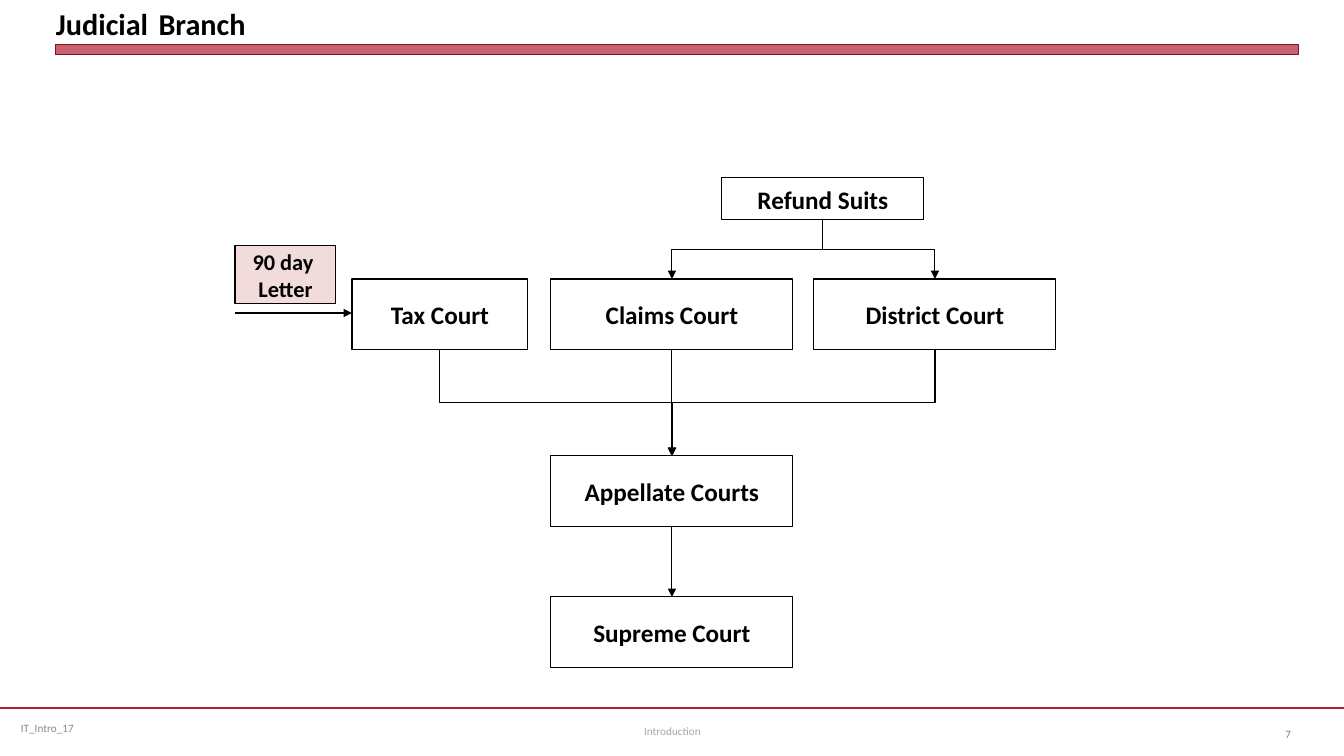
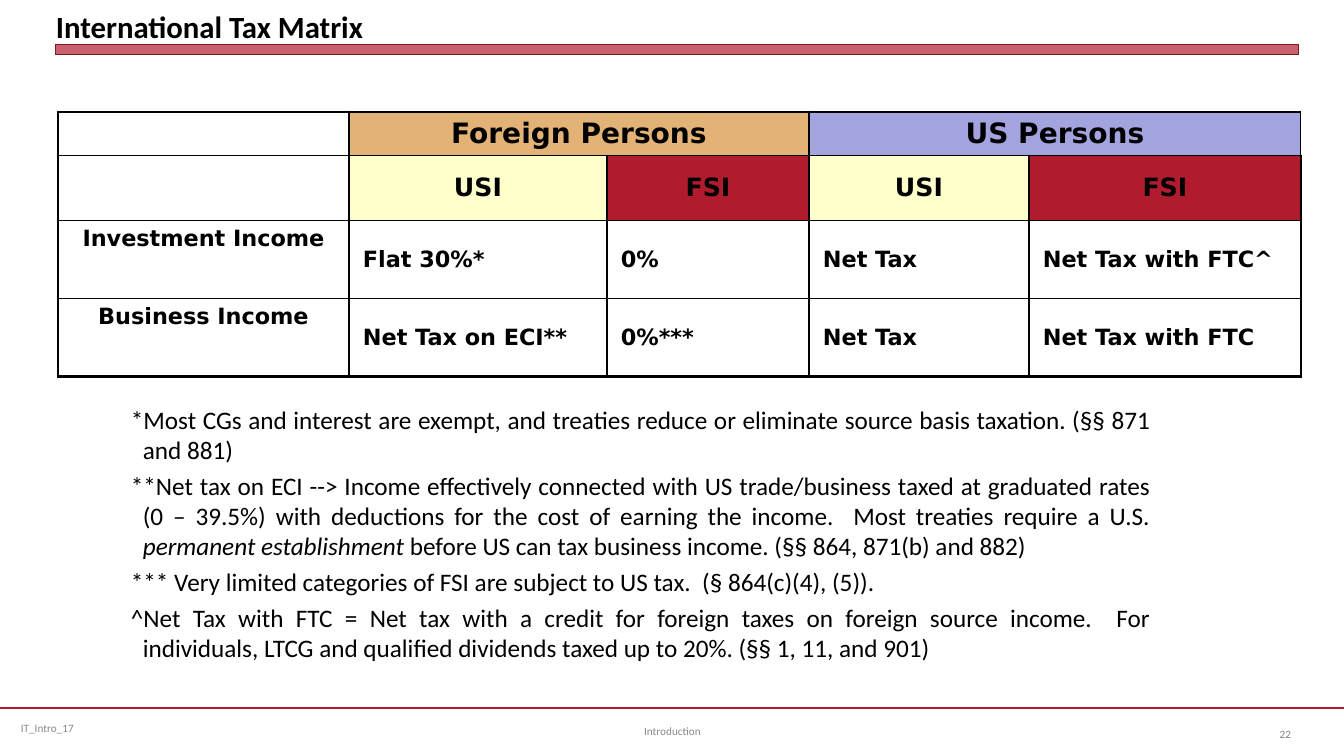
"""Build two tax course slides: the court hierarchy and the international tax matrix."""
from lxml.etree import SubElement
from pptx import Presentation
from pptx.dml.color import RGBColor
from pptx.enum.shapes import MSO_CONNECTOR as Link, MSO_SHAPE as Shape
from pptx.enum.text import MSO_ANCHOR as Anchor, PP_ALIGN as Align
from pptx.oxml.ns import qn
from pptx.util import Emu, Pt

EMU_PER_PX = 914400 / 100.8
BLACK = RGBColor(0x00, 0x00, 0x00)
CRIMSON = RGBColor(0xB0, 0x1C, 0x2E)
DARK_CRIMSON = RGBColor(0x82, 0x15, 0x22)
PINK = RGBColor(0xF2, 0xDC, 0xDB)
ORANGE = RGBColor(0xE3, 0xB2, 0x76)
LAVENDER = RGBColor(0xA3, 0xA3, 0xE0)
CREAM = RGBColor(0xFF, 0xFF, 0xCC)
GREY = RGBColor(0x89, 0x89, 0x89)
LIGHT_GREY = RGBColor(0xA6, 0xA6, 0xA6)
NUMBER_GREY = RGBColor(0x80, 0x80, 0x80)

TITLE = {"name": "Calibri", "size": Pt(22), "bold": True}
FOOTER = {"name": "Calibri", "size": Pt(8)}
COURT = {"name": "Calibri", "size": Pt(18), "bold": True}
NOTE = {"name": "Calibri", "size": Pt(18)}
CELL = {"name": "DejaVu Sans", "size": Pt(16), "bold": True}
MIDDLE = {"word_wrap": True, "vertical_anchor": Anchor.MIDDLE}
NO_MARGINS = {f"margin_{side}": 0 for side in ("left", "top", "right", "bottom")}


def px(*lengths):
    return [Emu(round(length * EMU_PER_PX)) for length in lengths]


def write(frame, paragraphs, font, align=Align.LEFT, color=BLACK, frame_format={}):
    for name, value in frame_format.items():
        setattr(frame, name, value)
    for index, spans in enumerate(paragraphs):
        para = frame.add_paragraph() if index else frame.paragraphs[0]
        para.alignment = align
        for text, changes in spans:
            span = para.add_run()
            span.text = text
            span.font.color.rgb = color
            for name, value in {**font, **changes}.items():
                setattr(span.font, name, value)


deck = Presentation()
deck.slide_width, deck.slide_height = px(1344, 756)
small_title = {"size": Pt(21.6)}
page_specs = [
    ([("Judicial", small_title), (" ", {"size": Pt(32.4)}), ("Branch", small_title)], LIGHT_GREY, "7"),
    ([("International Tax Matrix", {})], GREY, "22"),
]
pages = []
lines = []
for title, footer_color, number in page_specs:
    page = deck.slides.add_slide(deck.slide_layouts[6])
    pages.append(page)
    rule = page.shapes.add_connector(Link.STRAIGHT, *px(0, 708, 1344, 708))
    lines.append((rule, CRIMSON, 1.25, False))

    band = page.shapes.add_shape(Shape.RECTANGLE, *px(56, 45, 1243, 10))
    band.shadow.inherit = False
    band.fill.solid()
    band.fill.fore_color.rgb = CRIMSON
    tint = band.fill._xPr.find(qn("a:solidFill"))[0]
    SubElement(tint, qn("a:alpha"), val="69000")
    band.line.color.rgb = DARK_CRIMSON
    band.line.width = Pt(0)

    box = page.shapes.add_textbox(*px(56, 5, 1243, 40))
    write(box.text_frame, [title], TITLE,
          frame_format={**NO_MARGINS, "word_wrap": True, "vertical_anchor": Anchor.BOTTOM})
    for text, place, align, color in [
        ("IT_Intro_17", (11, 708, 347, 40), Align.LEFT, GREY),
        ("Introduction", (460, 711, 425, 40), Align.CENTER, footer_color),
        (number, (1233, 714, 68, 40), Align.RIGHT, NUMBER_GREY),
    ]:
        box = page.shapes.add_textbox(*px(*place))
        write(box.text_frame, [[(text, {})]], FOOTER, align, color, MIDDLE)

courts_page, matrix_page = pages

court_specs = [
    ("Appellate Courts", (551, 456, 242, 71)),
    ("Supreme Court", (551, 597, 242, 71)),
    ("District Court", (814, 279, 242, 71)),
    ("Tax Court", (352, 279, 176, 71)),
    ("Claims Court", (551, 279, 242, 71)),
    ("Refund Suits", (722, 178, 202, 42)),
    ("90 day \nLetter", (235, 246, 101, 58)),
]
courts = {}
for text, place in court_specs:
    box = courts_page.shapes.add_shape(Shape.RECTANGLE, *px(*place))
    courts[text] = box
    box.shadow.inherit = False
    box.fill.background()
    box.line.color.rgb = BLACK
    box.line.width = Pt(0.75)
    write(box.text_frame, [[(part, {})] for part in text.split("\n")], COURT, Align.CENTER,
          frame_format=MIDDLE)
letter = courts["90 day \nLetter"]
letter.fill.solid()
letter.fill.fore_color.rgb = PINK
for para in letter.text_frame.paragraphs:
    para.runs[0].font.size = Pt(16)

for source, target in [
    ("Refund Suits", "Claims Court"),
    ("Refund Suits", "District Court"),
    ("Claims Court", "Appellate Courts"),
    ("Appellate Courts", "Supreme Court"),
    ("Tax Court", "Appellate Courts"),
    ("District Court", "Appellate Courts"),
]:
    start, end = courts[source], courts[target]
    shift = end.left + end.width // 2 - start.left - start.width // 2
    kind = Link.ELBOW if shift else Link.STRAIGHT
    arrow = courts_page.shapes.add_connector(kind, 0, 0, 0, 0)
    arrow.begin_connect(start, 2)
    arrow.end_connect(end, 0)
    lines.append((arrow, BLACK, 0.75, True))
    if shift:
        drop = arrow.end_y - arrow.begin_y
        center_x = (arrow.begin_x + arrow.end_x) // 2
        center_y = (arrow.begin_y + arrow.end_y) // 2
        arrow.left, arrow.top = center_x - drop // 2, center_y - abs(shift) // 2
        arrow.width, arrow.height = drop, abs(shift)
        frame = arrow._element.spPr.find(qn("a:xfrm"))
        frame.set("rot", str((270 if shift > 0 else 90) * 60000))
        frame.set("flipH", "1" if shift > 0 else "0")
arrow = courts_page.shapes.add_connector(Link.STRAIGHT, *px(235, 313, 352, 313))
lines.append((arrow, BLACK, 0.75, True))

for line, color, width, has_head in lines:
    line.line.color.rgb = color
    line.line.width = Pt(width)
    if has_head:
        SubElement(line.line._get_or_add_ln(), qn("a:tailEnd"), type="triangle")
    SubElement(line._element.spPr, qn("a:effectLst"))

widths = [291, 258, 202, 220, 272]
heights = [43, 65, 78, 78]
rows = [
    ["", "Foreign Persons", "", "US Persons", ""],
    ["", "USI", "FSI", "USI", "FSI"],
    ["Investment Income", "Flat 30%*", "0%", "Net Tax", "Net Tax with FTC^"],
    ["Business Income", "Net Tax on ECI**", "0%***", "Net Tax", "Net Tax with FTC"],
]
fills = {"Foreign Persons": ORANGE, "US Persons": LAVENDER, "USI": CREAM, "FSI": CRIMSON}
row_sizes = [20, 18, 16, 16]
table = matrix_page.shapes.add_table(
    len(rows), len(widths), *px(58, 112, sum(widths), sum(heights))).table
table.first_row = table.horz_banding = False
for column, width in zip(table.columns, px(*widths)):
    column.width = width
for row, height in zip(table.rows, px(*heights)):
    row.height = height
for first in (1, 3):
    table.cell(0, first).merge(table.cell(0, first + 1))

side_margin, edge_margin = px(14, 5)
cell_format = {"margin_left": side_margin, "margin_right": side_margin,
               "margin_top": edge_margin, "margin_bottom": edge_margin}
for y, texts in enumerate(rows):
    for x, text in enumerate(texts):
        cell = table.cell(y, x)
        for name, value in cell_format.items():
            setattr(cell, name, value)
        label_cell = x == 0
        cell.vertical_anchor = Anchor.TOP if label_cell else Anchor.MIDDLE
        outer = {"L": x == 0, "R": x == len(widths) - 1, "T": y == 0, "B": y == len(rows) - 1}
        for side, is_outer in outer.items():
            border = SubElement(cell._tc.get_or_add_tcPr(), qn(f"a:ln{side}"),
                                w=str(Pt(2.25 if is_outer else 1)))
            SubElement(SubElement(border, qn("a:solidFill")), qn("a:srgbClr"), val=str(BLACK))
        if text in fills:
            cell.fill.solid()
            cell.fill.fore_color.rgb = fills[text]
        else:
            cell.fill.background()
        if text:
            align = Align.CENTER if label_cell or y < 2 else Align.LEFT
            write(cell.text_frame, [[(text, {})]], {**CELL, "size": Pt(row_sizes[y])}, align)

notes = [
    [("*Most CGs and interest are exempt, and treaties reduce or eliminate source basis taxation. "
      "(§§ 871 and 881)", {})],
    [("**Net tax on ECI --> Income effectively connected with US trade/business taxed at graduated "
      "rates (0 – 39.5%) with deductions for the cost of earning the income.  Most treaties "
      "require a U.S. ", {}),
     ("permanent establishment", {"italic": True}),
     (" before US can tax business income. (§§ 864, 871(b) and 882)", {})],
    [("*** Very limited categories of FSI are subject to US tax.  (§ 864(c)(4), (5)).", {})],
    [("^Net Tax with FTC = Net tax with a credit for foreign taxes on foreign source income.  For "
      "individuals, LTCG and qualified dividends taxed up to 20%. (§§ 1, 11, and 901) ", {})],
]
box = matrix_page.shapes.add_textbox(*px(121, 399, 1040, 287))
write(box.text_frame, notes, NOTE, Align.JUSTIFY, frame_format={"word_wrap": True})
hanging = px(12)[0]
for para in box.text_frame.paragraphs:
    para.space_after = Pt(4)
    properties = para._p.get_or_add_pPr()
    properties.set("marL", str(hanging))
    properties.set("indent", str(-hanging))

deck.save("out.pptx")
